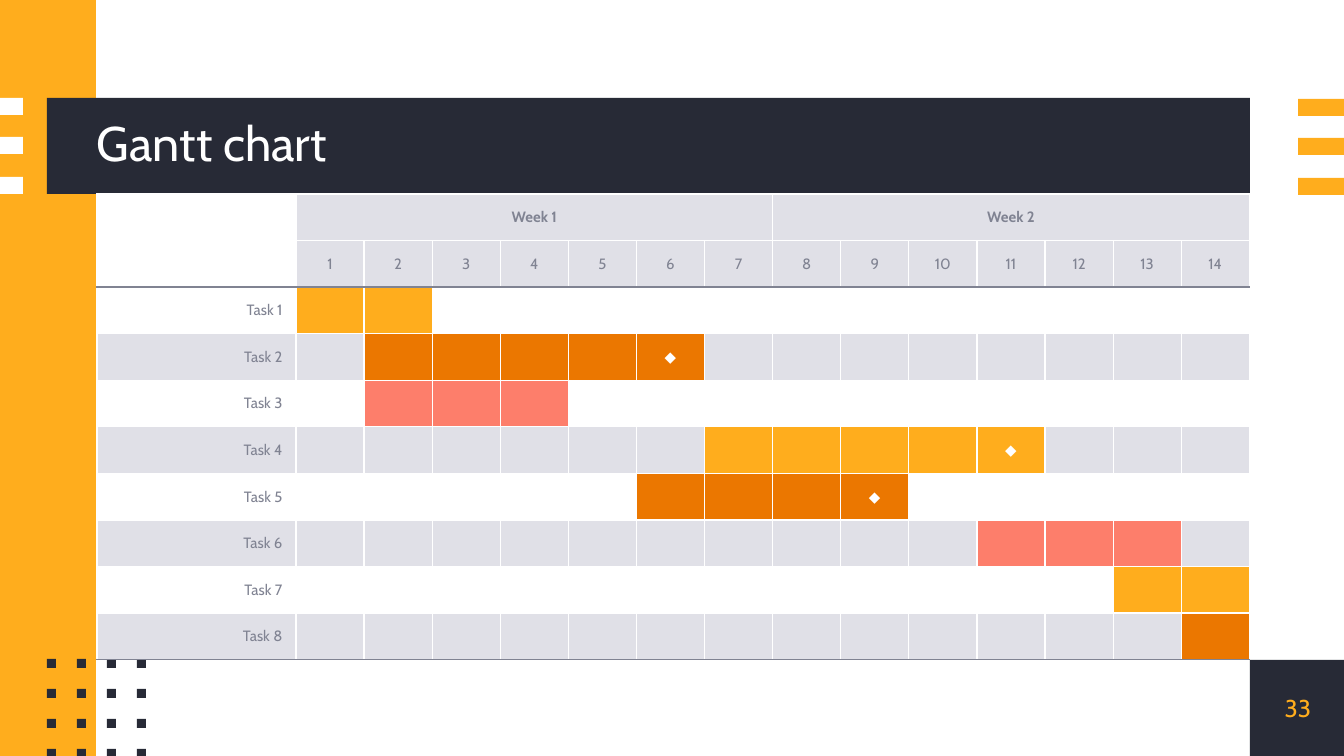
from lxml import etree
from pptx import Presentation
from pptx import util as u
from pptx.dml.color import RGBColor
from pptx.enum import shapes, text
from pptx.oxml.ns import qn

PX = 9144000 / 1344  # EMU in one px of a 1344 x 756 slide
FONT = "Cabin"
DARK, AMBER, WHITE = "272A36", "FFAD1D", "FFFFFF"
ORANGE, CORAL, PALE, GREY = "EB7700", "FD7E6B", "E0E0E7", "808392"
ALIGN, MIDDLE = text.PP_ALIGN, text.MSO_ANCHOR.MIDDLE

DAYS_PER_WEEK, WEEKS = 7, 2
# (first day, last day, colour, milestone day)
TASKS = [
    (1, 2, AMBER, None),
    (2, 6, ORANGE, 6),
    (2, 4, CORAL, None),
    (7, 11, AMBER, 11),
    (6, 9, ORANGE, 9),
    (11, 13, CORAL, None),
    (13, 14, AMBER, None),
    (14, 14, ORANGE, None),
]


def px(length):
    return u.Emu(round(length * PX))


def rgb(colour):
    return RGBColor.from_string(colour)


def rect(slide, x, y, w, h, colour):
    block = slide.shapes.add_shape(
        shapes.MSO_SHAPE.RECTANGLE, px(x), px(y), px(w), px(h))
    block.shadow.inherit = False
    block.fill.solid()
    block.fill.fore_color.rgb = rgb(colour)
    block.line.fill.background()
    return block


def style(paragraph, size, colour, align, bold=False):
    paragraph.alignment = align
    font = paragraph.font
    font.name, font.size, font.bold = FONT, u.Pt(size), bold
    font.color.rgb = rgb(colour)


def flush_frame(frame):
    frame.margin_left = frame.margin_right = 0
    frame.margin_top = frame.margin_bottom = 0
    frame.vertical_anchor = MIDDLE
    frame.word_wrap = True
    frame.auto_size = text.MSO_AUTO_SIZE.NONE


def stripes(slide, x, y, w, colour):
    for i in range(3):
        rect(slide, x, y + i * 79 // 2, w, 17, colour)


def dot_grid(slide, x, y, count=4, pitch=30, size=9):
    for row in range(count):
        for col in range(count):
            rect(slide, x + col * pitch, y + row * pitch, size, size, DARK)


def title_band(slide, x, y, w, h, wording):
    band = rect(slide, x, y, w, h, DARK)
    title = slide.shapes.title
    title.left, title.top, title.width, title.height = (
        px(x + 50), px(y), px(w - 50), px(h))
    title.text = wording
    flush_frame(title.text_frame)
    heading = title.text_frame.paragraphs[0]
    style(heading, 26, WHITE, ALIGN.LEFT)
    heading.line_spacing = 0.9
    band.element.addnext(title.element)  # bring the title in front of its band


def page_number(slide, x, y, size, number):
    rect(slide, x, y, size, size, DARK)
    label = slide.shapes.add_textbox(px(x), px(y), px(size), px(size))
    flush_frame(label.text_frame)
    label.text_frame.text = number
    style(label.text_frame.paragraphs[0], 13, AMBER, ALIGN.CENTER)


def set_borders(cell, top, bottom):
    properties = cell._tc.get_or_add_tcPr()
    edges = [("a:lnL", WHITE), ("a:lnR", WHITE), ("a:lnT", top), ("a:lnB", bottom)]
    for i, (edge, colour) in enumerate(edges):
        line = etree.Element(qn(edge), w=str(u.Pt(0.75)))
        fill = etree.SubElement(line, qn("a:solidFill"))
        etree.SubElement(fill, qn("a:srgbClr"), val=colour)
        properties.insert(i, line)


def fill_cell(cell, wording="", fill=None, colour=GREY, align=ALIGN.CENTER, bold=False):
    cell.vertical_anchor = MIDDLE
    if fill:
        cell.fill.solid()
        cell.fill.fore_color.rgb = rgb(fill)
    else:
        cell.fill.background()
    cell.text = wording
    paragraph = cell.text_frame.paragraphs[0]
    if wording:
        style(paragraph, 8, colour, align, bold)
    else:  # a small end mark keeps the empty cell from stretching its row
        etree.SubElement(paragraph._p, qn("a:endParaRPr"), sz="800")


def gantt(slide, x, y, w, h, label_w):
    days = DAYS_PER_WEEK * WEEKS
    row_count = len(TASKS) + 2
    table = slide.shapes.add_table(
        row_count, days + 1, px(x), px(y), px(w), px(h)).table
    table.first_row = table.horz_banding = False
    for row in table.rows:
        row.height = px(h / row_count)
    for i, column in enumerate(table.columns):
        column.width = px((w - label_w) / days) if i else px(label_w)

    # Week and day headings
    for row in (0, 1):
        fill_cell(table.cell(row, 0))
    for day in range(1, days + 1):
        week, offset = divmod(day - 1, DAYS_PER_WEEK)
        heading = "" if offset else f"Week {week + 1}"
        fill_cell(table.cell(0, day), heading, PALE, bold=True)
        fill_cell(table.cell(1, day), str(day), PALE)

    # Task rows
    for number, (first, last, bar, milestone) in enumerate(TASKS, 1):
        row = number + 1
        band = None if number % 2 else PALE
        fill_cell(table.cell(row, 0), f"Task {number}", band, align=ALIGN.RIGHT)
        for day in range(1, days + 1):
            fill_cell(table.cell(row, day), "◆" if day == milestone else "",
                      bar if first <= day <= last else band, WHITE)

    # Grey rules under the headings and under the last task
    for row in range(row_count):
        for col in range(days + 1):
            set_borders(table.cell(row, col),
                        top=GREY if row == 2 else WHITE,
                        bottom=GREY if row in (1, row_count - 1) else WHITE)

    for week in range(WEEKS):
        start = week * DAYS_PER_WEEK + 1
        table.cell(0, start).merge(table.cell(0, start + DAYS_PER_WEEK - 1))


def main():
    deck = Presentation()
    deck.slide_width, deck.slide_height = px(1344), px(756)
    slide = deck.slides.add_slide(deck.slide_layouts[5])

    # Frame decoration
    rect(slide, 0, 0, 96, 756, AMBER)
    stripes(slide, 0, 98, 23, WHITE)
    stripes(slide, 1298, 99, 46, AMBER)
    dot_grid(slide, 47, 659)

    # Content
    title_band(slide, 47, 98, 1203, 96, "Gantt chart")
    page_number(slide, 1250, 660, 96, "33")
    gantt(slide, 97, 194, 1153, 466, label_w=199)

    deck.save("out.pptx")


if __name__ == "__main__":
    main()
